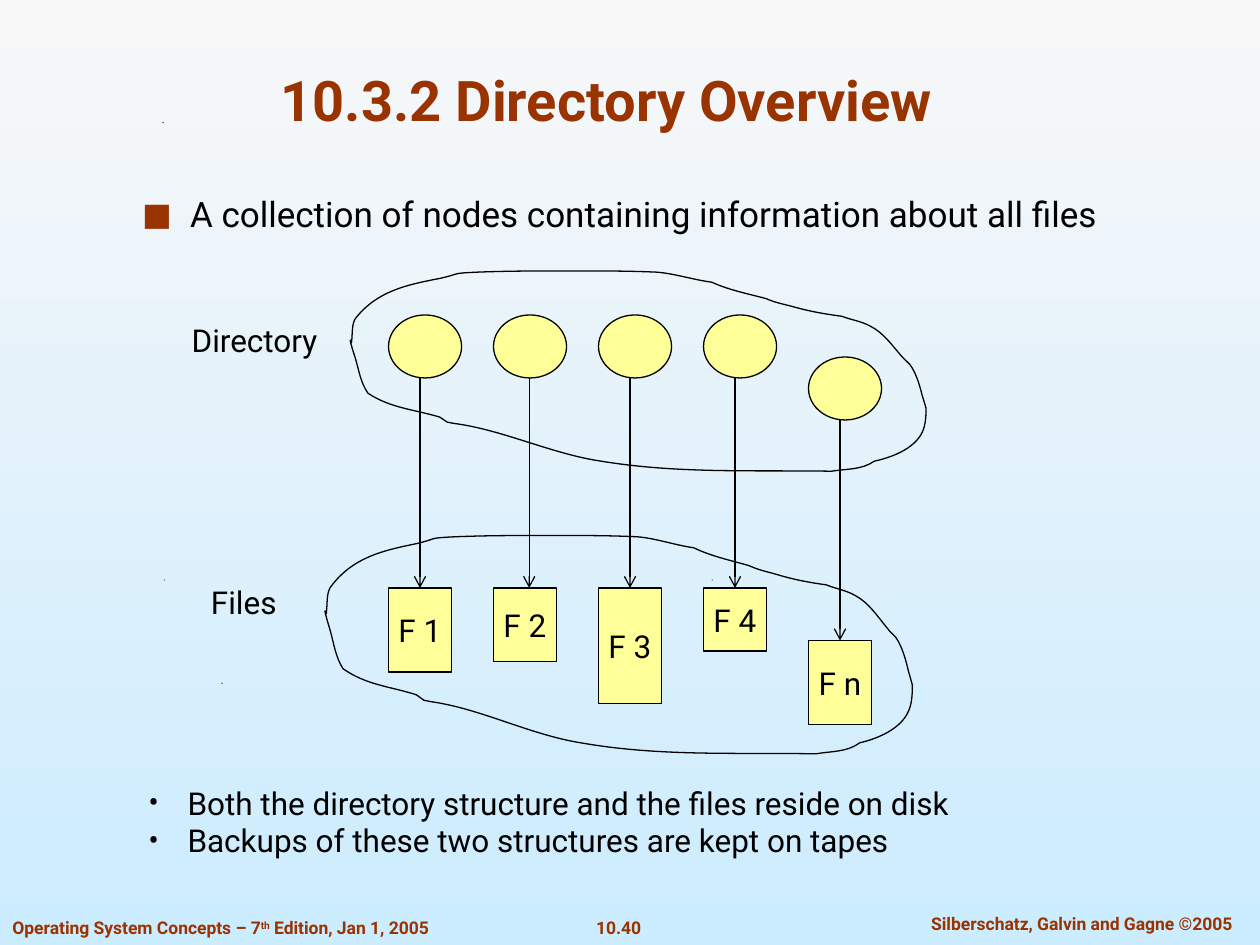
from dataclasses import dataclass

from lxml.etree import Element, SubElement
from pptx import Presentation
from pptx.dml.color import RGBColor
from pptx.enum.shapes import MSO_CONNECTOR as Link, MSO_SHAPE as Kind
from pptx.enum.text import MSO_ANCHOR as Anchor, MSO_AUTO_SIZE as Fit, PP_ALIGN as Align
from pptx.oxml.ns import qn
from pptx.util import Inches, Pt

FONT, RUST, BLACK, YELLOW = "Roboto", "993300", "000000", "FFFF99"


@dataclass
class File:
    label: str
    height: float
    arrow: float  # x of the arrow
    drop: float = 0  # shift of node and box


@dataclass
class Text:
    words: list[str]
    left: float
    top: float
    width: float
    height: float
    size: int = 18
    hue: str = BLACK
    bold: bool = False
    align: Align = Align.CENTER
    anchor: Anchor = Anchor.MIDDLE


# Nodes and boxes stand on a grid of twelfths of an inch
FILES = [
    File("F 1", 8 / 12, 40 / 12),
    File("F 2", 7 / 12, 4.2),
    File("F 3", 11 / 12, 5),
    File("F 4", 6 / 12, 70 / 12),
    File("F n", 8 / 12, 80 / 12, 5 / 12),
]
NODE_TOP, FILE_TOP, FIRST, PITCH = 2.5, 56 / 12, 37 / 12, 10 / 12

# Cloud outline: a start point, then Bezier pieces of two handles and an end
START = (2.79, 2.72)
CURVES = [
    (2.8, 2.65, 2.79, 2.58, 2.82, 2.53), (2.99, 2.31, 3.23, 2.26, 3.49, 2.21),
    (3.67, 2.17, 3.57, 2.17, 3.79, 2.16), (4.04, 2.15, 4.29, 2.15, 4.55, 2.15),
    (4.77, 2.15, 4.99, 2.15, 5.21, 2.16), (5.35, 2.17, 5.5, 2.22, 5.65, 2.24),
    (5.78, 2.3, 5.93, 2.33, 6.08, 2.37), (6.15, 2.4, 6.2, 2.41, 6.28, 2.43),
    (6.42, 2.47, 6.53, 2.49, 6.68, 2.51), (6.76, 2.54, 6.84, 2.55, 6.91, 2.59),
    (7.01, 2.64, 7.08, 2.74, 7.15, 2.82), (7.18, 2.86, 7.22, 2.88, 7.24, 2.92),
    (7.28, 2.99, 7.3, 3.06, 7.32, 3.14), (7.33, 3.17, 7.35, 3.24, 7.35, 3.24),
    (7.35, 3.28, 7.35, 3.37, 7.32, 3.43), (7.26, 3.56, 7.08, 3.63, 6.94, 3.66),
    (6.84, 3.73, 6.72, 3.72, 6.6, 3.74), (5.96, 3.73, 5.38, 3.76, 4.77, 3.66),
    (4.37, 3.6, 3.99, 3.41, 3.6, 3.36), (3.58, 3.36, 3.57, 3.35, 3.55, 3.35),
    (3.53, 3.34, 3.51, 3.32, 3.49, 3.31), (3.29, 3.25, 3.1, 3.24, 2.92, 3.12),
    (2.86, 3.03, 2.85, 2.94, 2.82, 2.84), (2.82, 2.84, 2.78, 2.72, 2.78, 2.7),
    (2.78, 2.69, 2.79, 2.71, 2.79, 2.72),
]


def color(code: str) -> RGBColor:
    return RGBColor.from_string(code)


def add_run(para, words: str, size: int, hue: str, bold: bool = False):
    run = para.add_run()
    run.text = words
    font = run.font
    font.name, font.size, font.bold = FONT, Pt(size), bold
    font.color.rgb = color(hue)
    return run


def fill_text(frame, text: Text) -> None:
    frame.auto_size = Fit.NONE
    frame.word_wrap = text.width > 2
    frame.vertical_anchor = text.anchor
    para = frame.paragraphs[0]
    para.alignment = text.align
    for words in text.words:
        run = add_run(para, words, text.size, text.hue, text.bold)
        if words == "th":
            run._r.get_or_add_rPr().set("baseline", "30000")


def place(shape, text: Text) -> None:
    shape.left, shape.top = Inches(text.left), Inches(text.top)
    shape.width, shape.height = Inches(text.width), Inches(text.height)


def add_text(shapes, text: Text) -> None:
    box = shapes.add_textbox(0, 0, 0, 0)
    place(box, text)
    fill_text(box.text_frame, text)


def add_bullet(para, mark: str, indent: float, hue: str, percent: int) -> None:
    props = para._p.get_or_add_pPr()
    props.set("marL", str(Inches(indent)))
    props.set("indent", str(-Inches(indent)))
    tint = SubElement(props, qn("a:buClr"))
    SubElement(tint, qn("a:srgbClr"), val=hue)
    SubElement(props, qn("a:buSzPct"), val=str(percent * 1000))
    SubElement(props, qn("a:buFont"), typeface=FONT)
    SubElement(props, qn("a:buChar"), char=mark)


def paint(shape, fill: str | None, line: str | None = BLACK) -> None:
    shape.shadow.inherit = False
    if fill:
        shape.fill.solid()
        shape.fill.fore_color.rgb = color(fill)
    else:
        shape.fill.background()
    if line:
        shape.line.color.rgb = color(line)
        shape.line.width = Pt(0.75)
    else:
        shape.line.fill.background()


def add_box(shapes, kind: Kind, left: float, top: float, width: float, height: float):
    box = shapes.add_shape(kind, *map(Inches, (left, top, width, height)))
    paint(box, YELLOW)
    return box


def add_arrow(shapes, x: float, top: float, end: float) -> None:
    link = shapes.add_connector(Link.STRAIGHT, *map(Inches, (x, top, x, end)))
    link.line.color.rgb = color(BLACK)
    link.line.width = Pt(0.75)
    SubElement(link.line._get_or_add_ln(), qn("a:tailEnd"), type="arrow")
    SubElement(link._element.spPr, qn("a:effectLst"))


def add_path(shapes, points: list[tuple[float, float]]):
    dots = [(Inches(x), Inches(y)) for x, y in points]
    pen = shapes.build_freeform(*dots[0])
    pen.add_line_segments(dots[1:], close=True)
    return pen.convert_to_shape()


def add_cloud(shapes, left: float, top: float, wide: float = 1, tall: float = 1) -> None:
    def spot(x: float, y: float) -> tuple[float, float]:
        return left + (x - 2.78) * wide, top + (y - 2.15) * tall

    cloud = add_path(shapes, [spot(*START)] + [spot(*curve[4:]) for curve in CURVES])
    # Turn each straight piece into a curve
    for piece, curve in zip(list(cloud._element.iter(qn("a:lnTo"))), CURVES):
        bend = Element(qn("a:cubicBezTo"))
        for i in (0, 2, 4):
            x, y = spot(*curve[i:i + 2])
            SubElement(bend, qn("a:pt"), x=str(Inches(x) - cloud.left), y=str(Inches(y) - cloud.top))
        piece.getparent().replace(piece, bend)
    paint(cloud, None)


def main() -> None:
    deck = Presentation()
    deck.slide_width, deck.slide_height = Inches(10), Inches(7.5)
    slide = deck.slides.add_slide(deck.slide_layouts[5])
    shapes = slide.shapes

    # Background
    back = slide.background.fill
    back.gradient()
    back.gradient_angle = 270
    for stop, hue in zip(back.gradient_stops, ("F8F8F8", "CCECFF")):
        stop.color.rgb = color(hue)

    # Specks and footer
    for x, y in [(1.76, 5.42), (1.3, 4.6), (5.65, 4.6), (1.29, 0.97)]:
        paint(add_path(shapes, [(x, y + 0.01), (x + 0.01, y), (x, y)]), BLACK, None)
    foot = dict(height=0.27, size=10, hue=RUST, bold=True, anchor=Anchor.TOP)
    add_text(shapes, Text(["10.40"], 4.63, 7.23, 0.56, **foot))
    add_text(shapes, Text(["Silberschatz, Galvin and Gagne ©2005"], 7.1, 7.2, 2.97, **foot))
    edition = ["Operating System Concepts – 7", "th", " Edition, Jan 1, 2005"]
    add_text(shapes, Text(edition, 0, 7.23, 3.69, align=Align.LEFT, **foot))

    # Title
    head = Text(["10.3.2 Directory Overview"], 1.12, 0.54, 7.39, 0.56, 32, RUST, True, anchor=Anchor.BOTTOM)
    place(shapes.title, head)
    fill_text(shapes.title.text_frame, head)

    # Bulleted text
    lead = shapes.add_textbox(*map(Inches, (1.03, 1.52, 8.28, 0.38))).text_frame
    lead.word_wrap = True
    para = lead.paragraphs[0]
    para.line_spacing = 0.9
    add_bullet(para, "■", 0.38, RUST, 90)
    add_run(para, "A collection of nodes containing information about all files", 20, BLACK)

    notes = shapes.add_textbox(*map(Inches, (1.08, 6.17, 8.09, 0.85))).text_frame
    notes.word_wrap = True
    for i, words in enumerate(["Both the directory structure and the files reside on disk",
                               "Backups of these two structures are kept on tapes"]):
        para = notes.add_paragraph() if i else notes.paragraphs[0]
        add_bullet(para, "•", 0.31, BLACK, 100)
        add_run(para, words, 18, BLACK)

    # Nodes, files and arrows
    for i, file in enumerate(FILES):
        left = FIRST + i * PITCH
        node, top = NODE_TOP + file.drop * 0.8, FILE_TOP + file.drop
        add_box(shapes, Kind.OVAL, left, node, 0.58, 0.5)
        box = add_box(shapes, Kind.RECTANGLE, left, top, 0.5, file.height)
        fill_text(box.text_frame, Text([file.label], left, top, 0.5, file.height))
        add_arrow(shapes, file.arrow, node + 0.5, top)

    # Clouds and their labels
    add_cloud(shapes, 2.78, 2.15)
    add_cloud(shapes, 2.58, 4.25, 1.02, 1.09)
    add_text(shapes, Text(["Directory"], 1.42, 2.5, 1.2, 0.4))
    add_text(shapes, Text(["Files"], 1.57, 4.58, 0.73, 0.4))

    deck.save("out.pptx")


if __name__ == "__main__":
    main()
